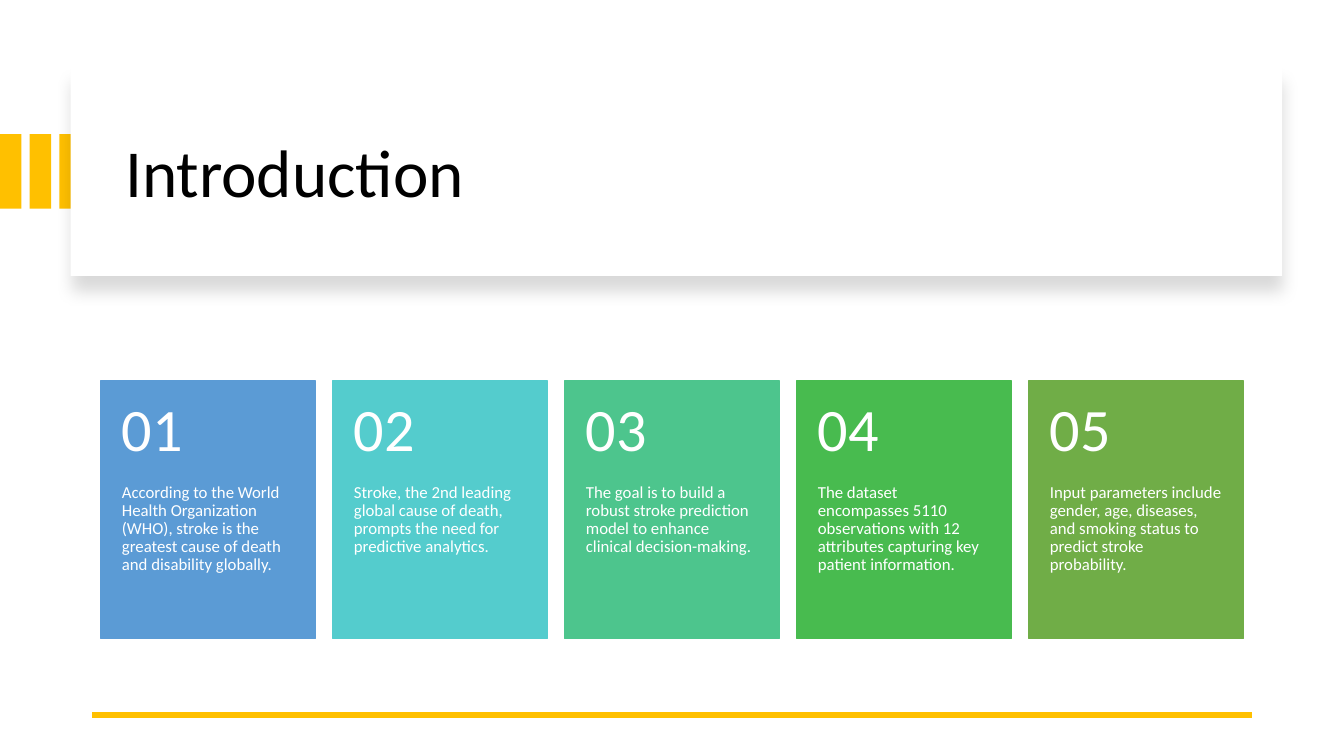
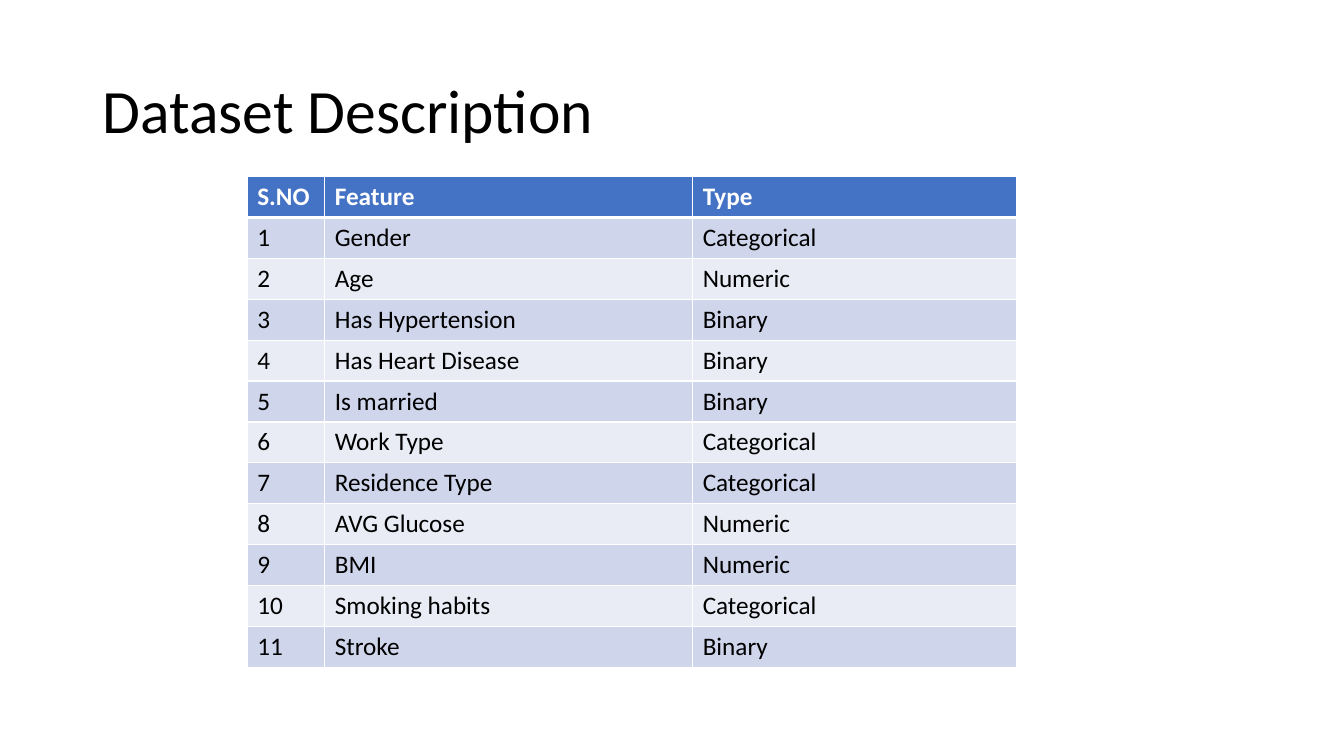
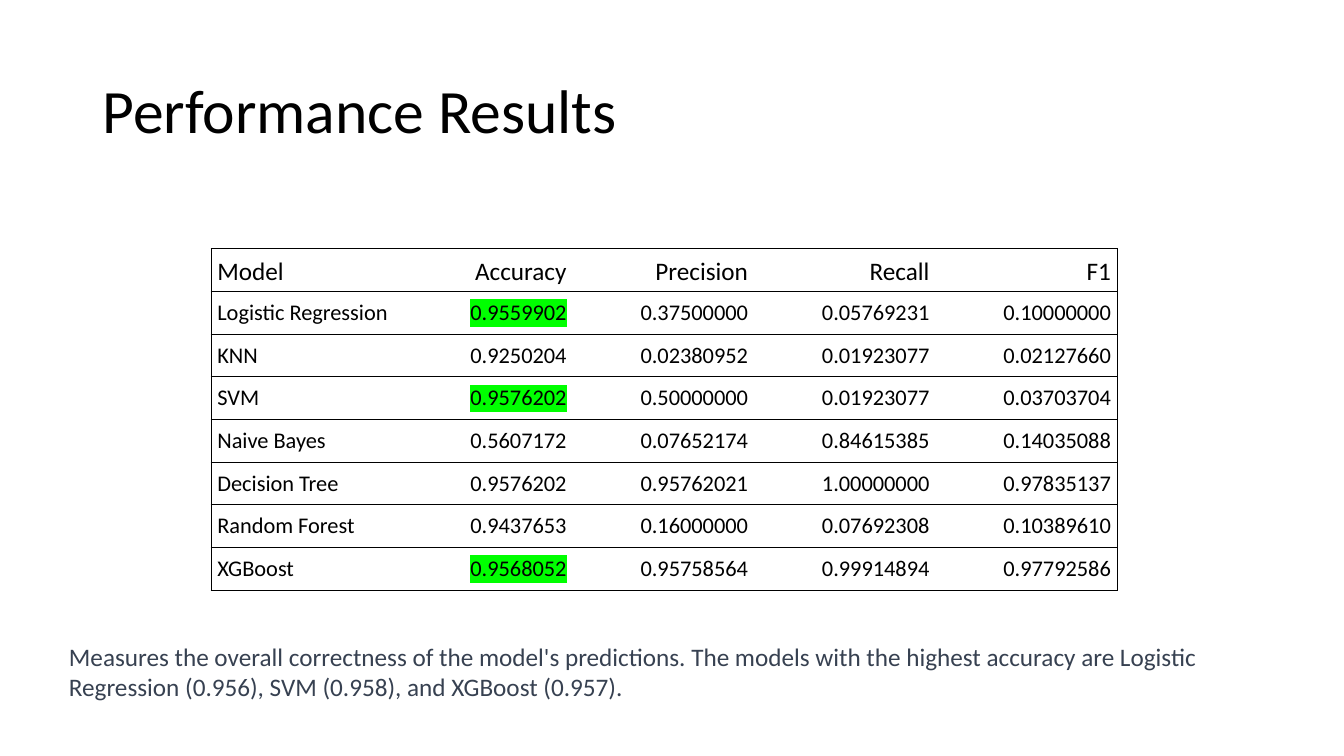
from dataclasses import dataclass

from lxml.etree import SubElement
from pptx import Presentation
from pptx.dml.color import RGBColor
from pptx.enum.shapes import MSO_CONNECTOR, MSO_SHAPE
from pptx.enum.text import MSO_ANCHOR, MSO_AUTO_SIZE, PP_ALIGN
from pptx.oxml import parse_xml
from pptx.oxml.ns import nsdecls, qn
from pptx.util import Pt


@dataclass(frozen=True)
class Theme:
    font: str = "Calibri"
    # Colours
    black: str = "000000"
    white: str = "FFFFFF"
    slate: str = "374151"
    gold: str = "FFC000"
    marker: str = "00FF00"
    header: str = "4472C4"
    bands: tuple = ("CFD5EA", "E9EBF5")
    cards: tuple = ("5B9BD5", "54CCCD", "4DC58D", "48BB4F", "70AD47")
    # Type sizes
    lead_title: int = 48
    title: int = 44
    number: int = 43
    body: int = 18
    figures: int = 16
    card: int = 12


THEME = Theme()


def put_text(tf, text, size=THEME.body, color=THEME.black, bold=False,
             align=PP_ALIGN.LEFT, spacing=None, highlight=None):
    """Write one formatted paragraph into a text frame."""
    p = tf.paragraphs[0]
    p.alignment = align
    if spacing:
        p.line_spacing = spacing
    r = p.add_run()
    r.text = text
    r.font.size = Pt(size)
    r.font.bold = bold
    r.font.name = THEME.font
    r.font.color.rgb = RGBColor.from_string(color)
    if highlight:
        mark = parse_xml(f'<a:highlight {nsdecls("a")}>'
                         f'<a:srgbClr val="{highlight}"/></a:highlight>')
        r.font.fill  # the text fill precedes the highlight
        r._r.rPr.find(qn("a:solidFill")).addnext(mark)


def set_insets(frame, left, top, right, bottom):
    frame.margin_left, frame.margin_top = Pt(left), Pt(top)
    frame.margin_right, frame.margin_bottom = Pt(right), Pt(bottom)


def set_borders(cell, **sides):
    """Set L, R, T, B borders as (colour, width); a missing side is blank."""
    tcPr = cell._tc.get_or_add_tcPr()
    for i, side in enumerate("LRTB"):
        color, width = sides.get(side) or (None, 0)
        fill = (f'<a:solidFill><a:srgbClr val="{color}"/></a:solidFill>'
                if color else "<a:noFill/>")
        tcPr.insert(i, parse_xml(
            f'<a:ln{side} {nsdecls("a")} w="{Pt(width)}">{fill}</a:ln{side}>'))


class Deck:
    def __init__(self, theme):
        self.theme = theme
        self.prs = Presentation()
        self.prs.slide_width, self.prs.slide_height = Pt(960), Pt(540)
        self.s = None

    def new_slide(self):
        self.s = self.prs.slides.add_slide(self.prs.slide_layouts[5])

    def title(self, text, box=(66, 28.75, 828, 104.4), size=THEME.title):
        sp = self.s.shapes.title
        sp.left, sp.top, sp.width, sp.height = map(Pt, box)
        sp.element.getparent().append(sp.element)  # bring to front
        tf = sp.text_frame
        tf.auto_size = MSO_AUTO_SIZE.NONE
        tf.vertical_anchor = MSO_ANCHOR.MIDDLE
        put_text(tf, text, size=size, spacing=0.9)

    def rect(self, box, fill, shadow=False):
        sp = self.s.shapes.add_shape(MSO_SHAPE.RECTANGLE, *map(Pt, box))
        sp.shadow.inherit = False
        sp.fill.solid()
        sp.fill.fore_color.rgb = RGBColor.from_string(fill)
        sp.line.fill.background()
        if shadow:
            effects = sp.element.spPr.find(qn("a:effectLst"))
            outer = SubElement(effects, qn("a:outerShdw"), blurRad=str(Pt(11)),
                               dist=str(Pt(10)), dir="5400000", algn="t", rotWithShape="0")
            color = SubElement(outer, qn("a:srgbClr"), val=self.theme.black)
            SubElement(color, qn("a:alpha"), val="15000")
        return sp

    def text(self, box, text, insets=(7.2, 3.6, 7.2, 3.6),
             anchor=MSO_ANCHOR.TOP, **fmt):
        tf = self.s.shapes.add_textbox(*map(Pt, box)).text_frame
        tf.word_wrap = True
        tf.vertical_anchor = anchor
        set_insets(tf, *insets)
        put_text(tf, text, **fmt)

    def line(self, x1, y1, x2, y2, color, width):
        ln = self.s.shapes.add_connector(MSO_CONNECTOR.STRAIGHT, *map(Pt, (x1, y1, x2, y2)))
        ln.line.color.rgb = RGBColor.from_string(color)
        ln.line.width = Pt(width)
        SubElement(ln.element.spPr, qn("a:effectLst"))

    def card(self, box, number, text, fill):
        x, y, w, h = box
        head = 73.5
        sp = self.rect(box, fill)
        sp.line.color.rgb = RGBColor.from_string(fill)
        sp.line.width = Pt(1)
        fmt = dict(color=self.theme.white, spacing=0.9)
        self.text((x, y + head, w, h - head), text, insets=(15.1, 0, 15.1, 26),
                  size=self.theme.card, **fmt)
        self.text((x, y, w, head), number, insets=(15.1, 13, 15.1, 13),
                  anchor=MSO_ANCHOR.MIDDLE, size=self.theme.number, **fmt)

    def table(self, left, top, widths, row_height, rows, style_cell):
        """Add a table; style_cell(cell, row, column, text) dresses each cell."""
        tbl = self.s.shapes.add_table(
            len(rows), len(widths), Pt(left), Pt(top),
            Pt(sum(widths)), Pt(row_height * len(rows))).table
        tbl.first_row = tbl.horz_banding = False
        for col, width in zip(tbl.columns, widths):
            col.width = Pt(width)
        for i, row in enumerate(rows):
            tbl.rows[i].height = Pt(row_height)
            for j, text in enumerate(row):
                style_cell(tbl.cell(i, j), i, j, text)


def fill_cell(cell, color):
    cell.fill.solid()
    cell.fill.fore_color.rgb = RGBColor.from_string(color)


# Slide content
CARDS = (
    "According to the World Health Organization (WHO), stroke is the greatest "
    "cause of death and disability globally.",
    "Stroke, the 2nd leading global cause of death, prompts the need for "
    "predictive analytics.",
    "The goal is to build a robust stroke prediction model to enhance "
    "clinical decision-making.",
    "The dataset encompasses 5110 observations with 12 attributes capturing "
    "key patient information.",
    "Input parameters include gender, age, diseases, and smoking status to "
    "predict stroke probability.",
)
FEATURES = (
    ("Gender", "Categorical"),
    ("Age", "Numeric"),
    ("Has Hypertension", "Binary"),
    ("Has Heart Disease", "Binary"),
    ("Is married", "Binary"),
    ("Work Type", "Categorical"),
    ("Residence Type", "Categorical"),
    ("AVG Glucose", "Numeric"),
    ("BMI", "Numeric"),
    ("Smoking habits", "Categorical"),
    ("Stroke", "Binary"),
)
RESULTS = (
    ("Model", "Accuracy", "Precision", "Recall", "F1"),
    ("Logistic Regression", "0.9559902", "0.37500000", "0.05769231", "0.10000000"),
    ("KNN", "0.9250204", "0.02380952", "0.01923077", "0.02127660"),
    ("SVM", "0.9576202", "0.50000000", "0.01923077", "0.03703704"),
    ("Naive Bayes", "0.5607172", "0.07652174", "0.84615385", "0.14035088"),
    ("Decision Tree", "0.9576202", "0.95762021", "1.00000000", "0.97835137"),
    ("Random Forest", "0.9437653", "0.16000000", "0.07692308", "0.10389610"),
    ("XGBoost", "0.9568052", "0.95758564", "0.99914894", "0.97792586"),
)
BEST_MODELS = ("Logistic Regression", "SVM", "XGBoost")


def introduction(deck):
    t = deck.theme
    deck.new_slide()
    # Gold tabs behind the title panel
    for i in range(3):
        deck.rect((i * 21.25, 95.75, 15.3, 53.3), t.gold)
    deck.rect((50.5, 48.2, 865.4, 149), t.white, shadow=True)
    deck.title("Introduction", box=(82.3, 64, 801.4, 122.4), size=t.lead_title)
    deck.line(894, 510.5, 66, 510.5, t.gold, 4.5)
    # Numbered cards
    for i, (text, fill) in enumerate(zip(CARDS, t.cards)):
        deck.card((72 + i * 165.7, 272, 153.4, 184), f"{i + 1:02}", text, fill)


def dataset(deck):
    t = deck.theme
    deck.new_slide()
    deck.title("Dataset Description")

    def style_cell(cell, i, j, text):
        head = i == 0
        fill_cell(cell, t.header if head else t.bands[(i - 1) % 2])
        thin, thick = (t.white, 1), (t.white, 3)
        set_borders(cell, L=thin, R=thin, T=thick if i == 1 else thin,
                    B=thick if head else thin)
        put_text(cell.text_frame, text, color=t.white if head else t.black, bold=head)

    rows = [("S.NO", "Feature", "Type")]
    rows += [(str(n), *feature) for n, feature in enumerate(FEATURES, 1)]
    deck.table(176.6, 126.2, (55.4, 262.8, 231.1), 29.2, rows, style_cell)


def results(deck):
    t = deck.theme
    deck.new_slide()
    deck.title("Performance Results")
    deck.text((42.2, 454.3, 900, 51),
              "Measures the overall correctness of the model's predictions. The "
              "models with the highest accuracy are Logistic Regression (0.956), "
              "SVM (0.958), and XGBoost (0.957).", color=t.slate)

    def style_cell(cell, i, j, text):
        head = i == 0
        best = j == 1 and RESULTS[i][0] in BEST_MODELS
        fill_cell(cell, t.white)
        rule = (t.black, 1)
        set_borders(cell, T=rule, B=rule, L=rule if j == 0 else None,
                    R=rule if j == len(RESULTS[0]) - 1 else None)
        cell.vertical_anchor = MSO_ANCHOR.MIDDLE
        set_insets(cell, 4.5, 3.6 if head else 1.5, 4.5, 2 if head else 1.5)
        put_text(cell.text_frame, text, size=t.body if head else t.figures,
                 align=PP_ALIGN.RIGHT if j else PP_ALIGN.LEFT,
                 highlight=t.marker if best else None)

    deck.table(150.8, 177.8, (158.4, 100, 129.6, 129.6, 129.6), 30.5, RESULTS, style_cell)


def main():
    deck = Deck(THEME)
    for build in (introduction, dataset, results):
        build(deck)
    deck.prs.save("out.pptx")


if __name__ == "__main__":
    main()
